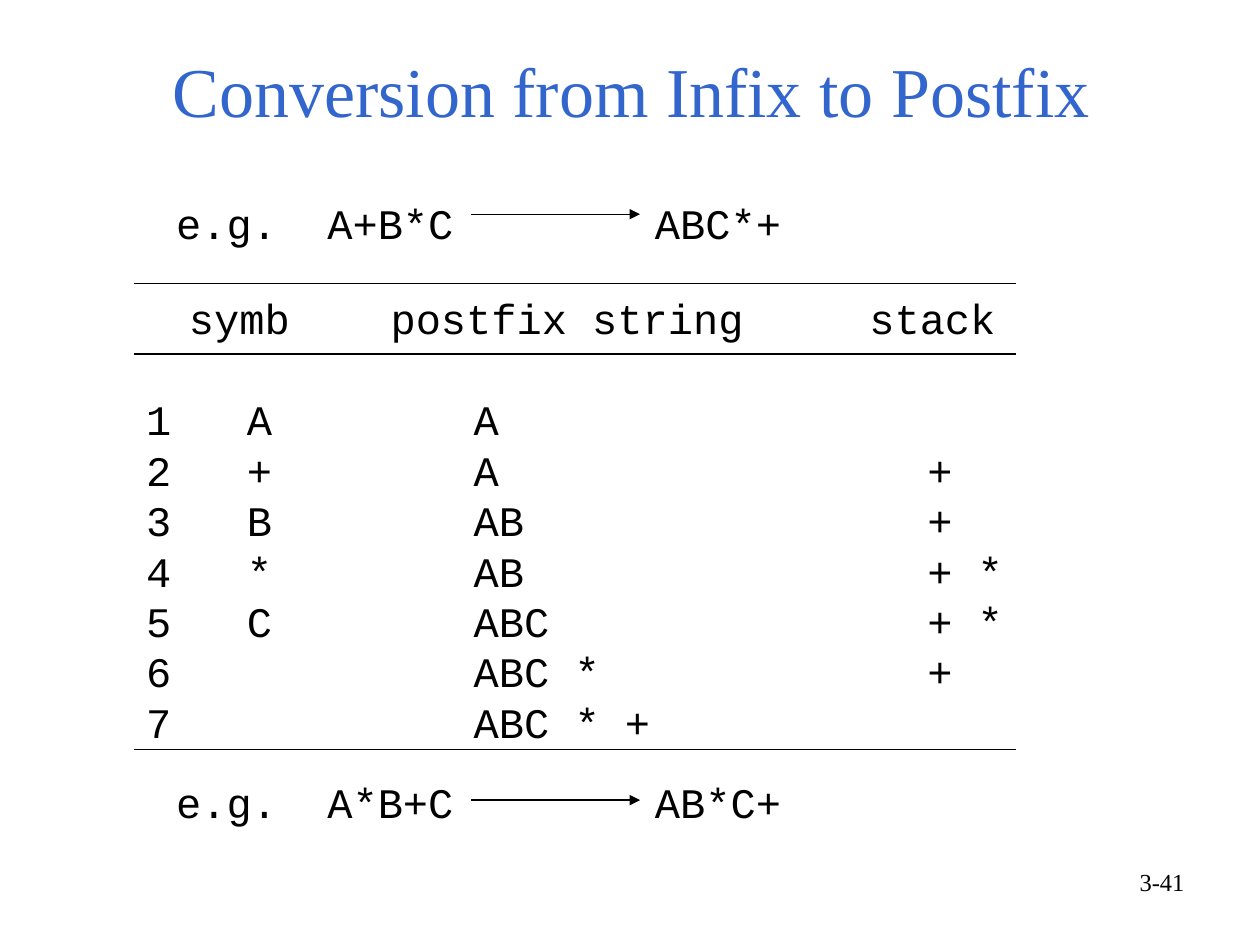
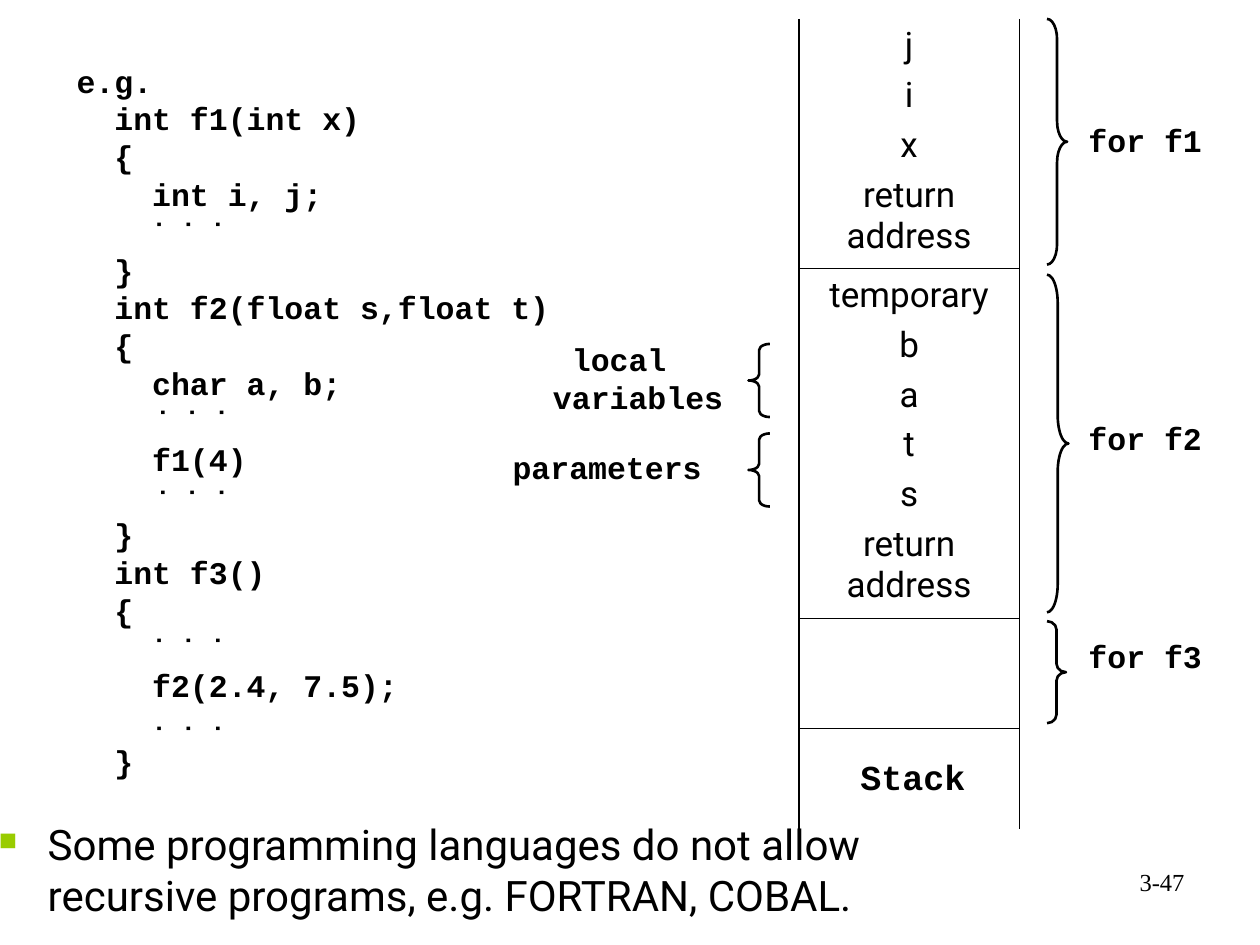
from dataclasses import dataclass

from lxml.etree import SubElement
from pptx import Presentation
from pptx.dml.color import RGBColor
from pptx.enum.shapes import MSO_CONNECTOR as Link, MSO_SHAPE as Preset
from pptx.enum.text import MSO_ANCHOR as Anchor, PP_ALIGN as Align
from pptx.oxml.ns import qn
from pptx.util import Inches, Pt


@dataclass(frozen=True)
class Theme:
    ink: str = "000000"
    title: str = "3366CC"
    bullet: str = "99CC00"
    serif: str = "Times New Roman"
    mono: str = "Courier New"
    sans: str = "Roboto"
    title_size: int = 40
    body_size: int = 24
    stack_size: int = 20
    code_size: int = 18
    small_size: int = 14


THEME = Theme()
WIDTH, HEIGHT = 10, 7.5
TITLE = dict(name=THEME.serif, size=THEME.title_size, color=THEME.title)
PAGE = dict(name=THEME.serif, size=THEME.small_size)
TRACE = dict(name=THEME.mono, size=THEME.body_size)
CODE = dict(name=THEME.mono, size=THEME.code_size, bold=True)
DOTS = dict(CODE, size=THEME.small_size)
STACK_NAME = dict(CODE, size=THEME.stack_size)
FRAME = dict(name=THEME.sans, size=THEME.stack_size)
REMARK = dict(name=THEME.sans, size=THEME.body_size)

TRACE_LEFT, TRACE_RIGHT = 1.06, 8.06
LINE_STEP = 0.4  # height of one row of the trace
TRACE_COLUMNS = [0.44, 1.6, 3.8, 1.16]
TRACE_INDENTS = [0.1, 0.46, 0.66, 0.46]
TRACE_ROWS = [
    ("", "symb", "postfix string", "stack"),
    ("1", "A", "A", ""),
    ("2", "+", "A", "+"),
    ("3", "B", "AB", "+"),
    ("4", "*", "AB", "+ *"),
    ("5", "C", "ABC", "+ *"),
    ("6", "", "ABC *", "+"),
    ("7", "", "ABC * +", ""),
]

# None leaves one line free for the dots
PROGRAM = [
    "e.g.", "  int f1(int x)", "  {", "    int i, j;", None, "  }",
    "  int f2(float s,float t)", "  {", "    char a, b;", None, "    f1(4)", None, "  }",
    "  int f3()", "  {", None, "    f2(2.4, 7.5);", None, "  }",
]
DOT_PLACES = [(1.3, 1.63), (1.33, 3.12), (1.33, 3.75), (1.3, 4.93), (1.3, 5.63)]
STACK_FRAMES = [
    (1.98, ["j", "i", "x", "return address"]),
    (2.78, ["temporary", "b", "a", "t", "s", "return address"]),
    (0.87, []),
    (0.8, []),
]


def style(paragraph, look):
    """Apply a look to a paragraph and its runs."""
    values = dict(look)
    color = RGBColor.from_string(values.pop("color", THEME.ink))
    values["size"] = Pt(values["size"])
    for font in [paragraph.font] + [run.font for run in paragraph.runs]:
        for key, value in values.items():
            setattr(font, key, value)
        font.color.rgb = color


def write(frame, lines, look, align=Align.LEFT, gap=0):
    """Write one paragraph per line; gap is the space between them."""
    for number, line in enumerate(lines):
        paragraph = frame.paragraphs[0] if number == 0 else frame.add_paragraph()
        paragraph.text = line
        paragraph.alignment = align
        if number and gap:
            paragraph.space_before = Pt(gap)
        style(paragraph, look)


def add_text(slide, place, lines, look, align=Align.LEFT):
    frame = slide.shapes.add_textbox(*map(Inches, place)).text_frame
    frame.word_wrap = True
    write(frame, lines, look, align)
    return frame


def add_tabs(paragraph, stops):
    tabs = SubElement(paragraph._p.get_or_add_pPr(), qn("a:tabLst"))
    for stop in stops:
        SubElement(tabs, qn("a:tab"), pos=str(Inches(stop)), algn="l")


def add_line(slide, left, right, y, arrow=False):
    line = slide.shapes.add_connector(
        Link.STRAIGHT, Inches(left), Inches(y), Inches(right), Inches(y))
    line.line.color.rgb = RGBColor.from_string(THEME.ink)
    line.line.width = Pt(0.75)
    if arrow:
        SubElement(line.line._get_or_add_ln(), qn("a:tailEnd"), type="triangle")
    SubElement(line._element.spPr, qn("a:effectLst"))


def add_example(slide, top, infix, postfix, arrow_y):
    """Infix form, arrow, postfix form."""
    frame = add_text(slide, (1.3, top, 5.1, 0.5), [""], TRACE)
    paragraph = frame.paragraphs[0]
    add_tabs(paragraph, (1.2, 3.8))
    paragraph.text = f"e.g.\t{infix}\t{postfix}"
    style(paragraph, TRACE)
    add_line(slide, 3.74, 5.08, arrow_y, arrow=True)


def add_grid(slide, left, top, widths, heights):
    """An unstyled table."""
    place = map(Inches, (left, top, sum(widths), sum(heights)))
    table = slide.shapes.add_table(len(heights), len(widths), *place).table
    table.first_row = table.horz_banding = False
    for column, width in zip(table.columns, widths):
        column.width = Inches(width)
    for row, height in zip(table.rows, heights):
        row.height = Inches(height)
    for cell in table.iter_cells():
        cell.fill.background()
    return table


def add_borders(cell, **widths):
    """Cell borders by side (L, R, T, B) in points; 0 hides the side."""
    properties = cell._tc.get_or_add_tcPr()
    for number, (side, width) in enumerate(widths.items()):
        line = properties.makeelement(qn(f"a:ln{side}"), {"w": str(Pt(width))})
        properties.insert(number, line)
        if width:
            fill = SubElement(line, qn("a:solidFill"))
            SubElement(fill, qn("a:srgbClr"), val=THEME.ink)
        else:
            SubElement(line, qn("a:noFill"))


def add_trace(slide):
    heights = [2 * LINE_STEP] + [LINE_STEP] * (len(TRACE_ROWS) - 1)
    table = add_grid(slide, TRACE_LEFT, 2.38, TRACE_COLUMNS, heights)
    for r, row in enumerate(TRACE_ROWS):
        for c, value in enumerate(row):
            cell = table.cell(r, c)
            cell.margin_left = Inches(TRACE_INDENTS[c] if r else 0)
            cell.margin_right = cell.margin_top = cell.margin_bottom = 0
            add_borders(cell, L=0, R=0, T=0, B=0)
            write(cell.text_frame, [value], TRACE)
    for y in (2.25, 2.81, 5.95):
        add_line(slide, TRACE_LEFT, TRACE_RIGHT, y)


def add_brace(slide, preset, left, top, width, height):
    brace = slide.shapes.add_shape(preset, *map(Inches, (left, top, width, height)))
    brace.shadow.inherit = False
    brace.fill.background()
    brace.line.color.rgb = RGBColor.from_string(THEME.ink)
    brace.line.width = Pt(1.5)
    brace.adjustments[0] = height / 12 / width


def add_program(slide):
    lines = [line for line in PROGRAM if line is not None]
    frame = add_text(slide, (0.51, 0.44, 4.1, 5.8), lines, CODE)
    after_dots = [before is None for before, line in zip([""] + PROGRAM, PROGRAM)
                  if line is not None]
    for paragraph, skipped in zip(frame.paragraphs, after_dots):
        if skipped:
            paragraph.space_before = Pt(1.2 * THEME.code_size)
    for left, top in DOT_PLACES:
        dots = add_text(slide, (left, top, 0.66, 0.38), ["..."], DOTS)
        dots.margin_left = dots.margin_right = Inches(0.05)
        dots.margin_top = dots.margin_bottom = Inches(0.1)
        dots._txBody.bodyPr.set("vert", "eaVert")


def add_stack(slide):
    heights = [height for height, _ in STACK_FRAMES]
    table = add_grid(slide, 6.34, 0.15, [1.75], heights)
    last = len(STACK_FRAMES) - 1
    for r, (_, entries) in enumerate(STACK_FRAMES):
        cell = table.cell(r, 0)
        write(cell.text_frame, entries, FRAME, Align.CENTER, gap=5)
        add_borders(cell, L=1.08, R=1.08, T=0.45 if r else 0, B=0.45 if r < last else 0)
    add_text(slide, (6.73, 5.95, 1.1, 0.44), ["Stack"], STACK_NAME)


def add_remark(slide):
    frame = add_text(slide, (-0.11, 6.45, 8.11, 0.9), [""], REMARK)
    paragraph = frame.paragraphs[0]
    properties = paragraph._p.get_or_add_pPr()
    properties.set("marL", str(Inches(0.39)))
    properties.set("indent", str(-Inches(0.39)))
    color = SubElement(properties, qn("a:buClr"))
    SubElement(color, qn("a:srgbClr"), val=THEME.bullet)
    SubElement(properties, qn("a:buSzPct"), val="60000")
    SubElement(properties, qn("a:buChar"), char="■")
    paragraph.text = ("Some programming languages do not allow\v"
                      "recursive programs, e.g. FORTRAN, COBAL.")
    style(paragraph, REMARK)


def add_page_number(slide, number):
    add_text(slide, (7.17, 6.83, 2.33, 0.52), [number], PAGE, Align.RIGHT)


def build_conversion(deck):
    slide = deck.slides.add_slide(deck.slide_layouts[5])
    title = slide.shapes.title
    title.left, title.top, title.width, title.height = map(Inches, (0.75, 0.21, 8.52, 1))
    title.text_frame.vertical_anchor = Anchor.MIDDLE
    write(title.text_frame, ["Conversion from Infix to Postfix"], TITLE, Align.CENTER)
    add_example(slide, 1.52, "A+B*C", "ABC*+", 1.7)
    add_trace(slide)
    add_example(slide, 6.11, "A*B+C", "AB*C+", 6.35)
    add_page_number(slide, "3-41")


def build_call_stack(deck):
    slide = deck.slides.add_slide(deck.slide_layouts[6])
    add_program(slide)
    add_stack(slide)

    # Frames of the three functions
    for name, label_top, left, top, width, height in [
        ("for f1", 0.91, 8.31, 0.15, 0.16, 1.95),
        ("for f2", 3.28, 8.31, 2.18, 0.17, 2.68),
        ("for f3", 5.01, 8.31, 4.93, 0.15, 0.81),
    ]:
        add_brace(slide, Preset.RIGHT_BRACE, left, top, width, height)
        add_text(slide, (8.54, label_top, 1.25, 0.4), [name], CODE)

    # Parts of the frame of f2
    for top in (2.73, 3.44):
        add_brace(slide, Preset.LEFT_BRACE, 5.94, top, 0.17, 0.58)
    local = add_text(slide, (4.29, 2.65, 1.65, 0.7), ["local", "variables"], CODE)
    local.paragraphs[0]._p.get_or_add_pPr().set("marL", str(Inches(0.15)))
    add_text(slide, (3.97, 3.51, 1.8, 0.4), ["parameters"], CODE)

    add_remark(slide)
    add_page_number(slide, "3-47")


def main():
    deck = Presentation()
    deck.slide_width, deck.slide_height = Inches(WIDTH), Inches(HEIGHT)
    build_conversion(deck)
    build_call_stack(deck)
    deck.save("out.pptx")


if __name__ == "__main__":
    main()
